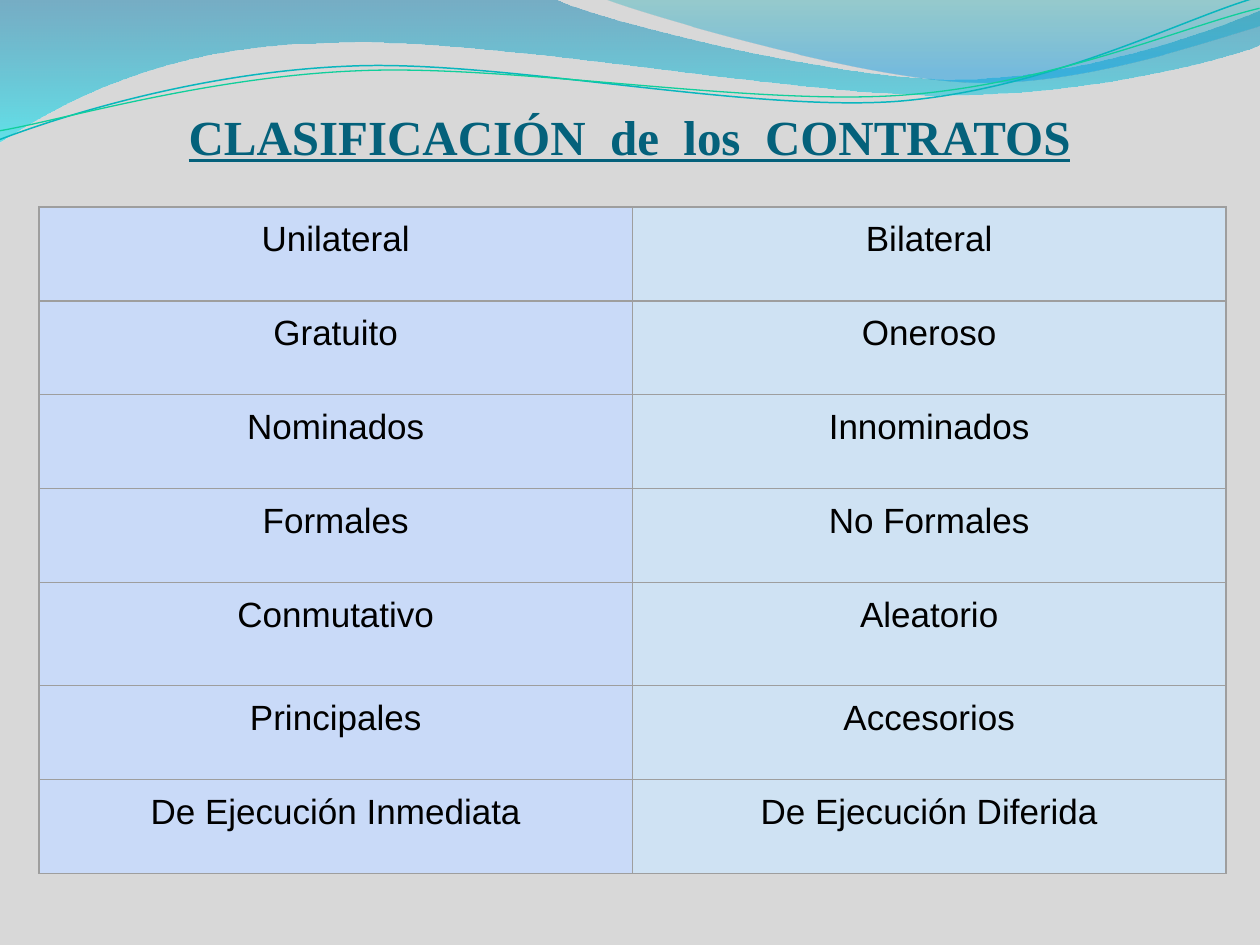
from dataclasses import dataclass

from lxml.etree import SubElement
from pptx import Presentation
from pptx.dml.color import RGBColor as Rgb
from pptx.enum.text import MSO_ANCHOR as Anchor, PP_ALIGN as Align
from pptx.oxml.ns import qn
from pptx.util import Emu, Pt

PX = 914400 / 126


@dataclass(frozen=True)
class Theme:
    page: str = "D8D8D8"
    title: str = "04617B"
    text: str = "000000"
    border: str = "9E9E9E"
    columns: tuple = ("C9DAF8", "CFE2F3")
    left_wave: tuple = ((0, "0079AD", 45), (100, "00E9F7", 55))
    right_wave: tuple = ((0, "00ABB4", 30), (80, "0099E4", 45), (100, "0099E4", 45))
    strands: tuple = (("09B6BE", 0.85), ("10CF9B", 0.75))
    title_font: str = "Times New Roman"
    table_font: str = "Arial"
    title_size: int = 28
    table_size: int = 20
    border_width: float = 0.75


THEME = Theme()

LEFT_WAVE = [
    (0, 0), (554, -1),
    (600, 21, 837, 79, 955, 79), (1075, 79, 1207, 33, 1260, 11),
    (1261, 45),
    (1239, 55, 1096, 96, 940, 95), (784, 95, 481, 35, 324, 43),
    (163, 45, 58, 105, -1, 142), (0, 0),
]
RIGHT_WAVE = [
    (604, -1),
    (641, 14, 859, 78, 969, 82), (1079, 87, 1211, 40, 1260, 26),
    (1260, 0), (604, -1),
]
STRANDS = [
    [(-3, 110), (58, 90, 199, 52, 350, 53), (499, 53, 745, 118, 896, 114),
     (1049, 109, 1184, 45, 1260, 27)],
    [(-2, 101), (57, 94, 207, 57, 357, 58), (509, 58, 750, 112, 902, 108),
     (1052, 104, 1187, 52, 1262, 38)],
]
STRAND_ROTATION = 357.3
CONTRACTS = [
    ("Unilateral", "Bilateral"),
    ("Gratuito", "Oneroso"),
    ("Nominados", "Innominados"),
    ("Formales", "No Formales"),
    ("Conmutativo", "Aleatorio"),
    ("Principales", "Accesorios"),
    ("De Ejecución Inmediata", "De Ejecución Diferida"),
]
ROW_HEIGHT = 94
TALL_ROW, TALL_HEIGHT = 4, 103


def px(length):
    return Emu(round(length * PX))


def add_curve(page, box, steps, closed):
    left, top = box[:2]
    points = [
        (px(left + x), px(top + y))
        for step in steps
        for x, y in zip(step[::2], step[1::2])
    ]
    builder = page.shapes.build_freeform(*points[0])
    builder.add_line_segments(points[1:], close=closed)
    shape = builder.convert_to_shape()
    bend_segments(shape, steps[1:])
    shape.shadow.inherit = False
    shape.fill.background()
    return shape


def bend_segments(shape, steps):
    outline = next(shape._element.iter(qn("a:path")))
    lines = iter(outline.findall(qn("a:lnTo")))
    for step in steps:
        first = next(lines)
        if len(step) == 6:
            bend = SubElement(outline, qn("a:cubicBezTo"))
            outline.replace(first, bend)
            bend.append(first[0])
            for line in (next(lines), next(lines)):
                bend.append(line[0])
                outline.remove(line)


def fill_gradient(shape, stops):
    properties = shape._element.spPr
    empty = properties.find(qn("a:noFill"))
    gradient = SubElement(properties, qn("a:gradFill"), rotWithShape="1")
    stop_list = SubElement(gradient, qn("a:gsLst"))
    for position, color, opacity in stops:
        stop = SubElement(stop_list, qn("a:gs"), pos=str(position * 1000))
        tone = SubElement(stop, qn("a:srgbClr"), val=color)
        SubElement(tone, qn("a:alpha"), val=str(opacity * 1000))
    SubElement(gradient, qn("a:lin"), ang="5400000", scaled="0")
    properties.replace(empty, gradient)


def add_waves(page, box):
    for steps, stops in ((LEFT_WAVE, THEME.left_wave), (RIGHT_WAVE, THEME.right_wave)):
        wave = add_curve(page, box, steps, True)
        fill_gradient(wave, stops)
        wave.line.fill.background()
    for steps, (color, width) in zip(STRANDS, THEME.strands):
        strand = add_curve(page, box, steps, False)
        strand.rotation = STRAND_ROTATION
        strand.line.color.rgb = Rgb.from_string(color)
        strand.line.width = Pt(width)


def set_paragraph(para, text, font_name, size, color):
    para.text = text
    para.alignment = Align.CENTER
    para.font.name = font_name
    para.font.size = Pt(size)
    para.font.color.rgb = Rgb.from_string(color)


def add_title(page, box):
    frame = page.shapes.add_textbox(*map(px, box)).text_frame
    frame.word_wrap = True
    frame.vertical_anchor = Anchor.BOTTOM
    frame.margin_left = frame.margin_right = frame.margin_bottom = 0
    para = frame.paragraphs[0]
    set_paragraph(para, "CLASIFICACIÓN  de  los  CONTRATOS",
                  THEME.title_font, THEME.title_size, THEME.title)
    para.font.bold = para.font.underline = True


def add_borders(cell):
    properties = cell._tc.get_or_add_tcPr()
    for index, side in enumerate(("lnL", "lnR", "lnT", "lnB")):
        line = SubElement(properties, qn(f"a:{side}"), w=str(Pt(THEME.border_width)))
        solid = SubElement(line, qn("a:solidFill"))
        SubElement(solid, qn("a:srgbClr"), val=THEME.border)
        properties.remove(line)
        properties.insert(index, line)


def add_contract_table(page, box):
    column_count = len(THEME.columns)
    table = page.shapes.add_table(len(CONTRACTS), column_count, *map(px, box)).table
    table.first_row = table.horz_banding = False
    for column in table.columns:
        column.width = px(box[2] / column_count)
    for row_index, words in enumerate(CONTRACTS):
        height = TALL_HEIGHT if row_index == TALL_ROW else ROW_HEIGHT
        table.rows[row_index].height = px(height)
        for column_index, word in enumerate(words):
            cell = table.cell(row_index, column_index)
            cell.margin_left = cell.margin_right = px(13)
            cell.margin_top = cell.margin_bottom = px(13)
            cell.fill.solid()
            cell.fill.fore_color.rgb = Rgb.from_string(THEME.columns[column_index])
            set_paragraph(cell.text_frame.paragraphs[0], word,
                          THEME.table_font, THEME.table_size, THEME.text)
            add_borders(cell)


def main():
    deck = Presentation()
    deck.slide_width, deck.slide_height = px(1260), px(945)
    page = deck.slides.add_slide(deck.slide_layouts[6])
    page.background.fill.solid()
    page.background.fill.fore_color.rgb = Rgb.from_string(THEME.page)
    add_waves(page, (0, 0, 1260, 142))
    add_title(page, (63, 38, 1133, 127))
    add_contract_table(page, (39, 207, 1187, 667))
    deck.save("out.pptx")


if __name__ == "__main__":
    main()
